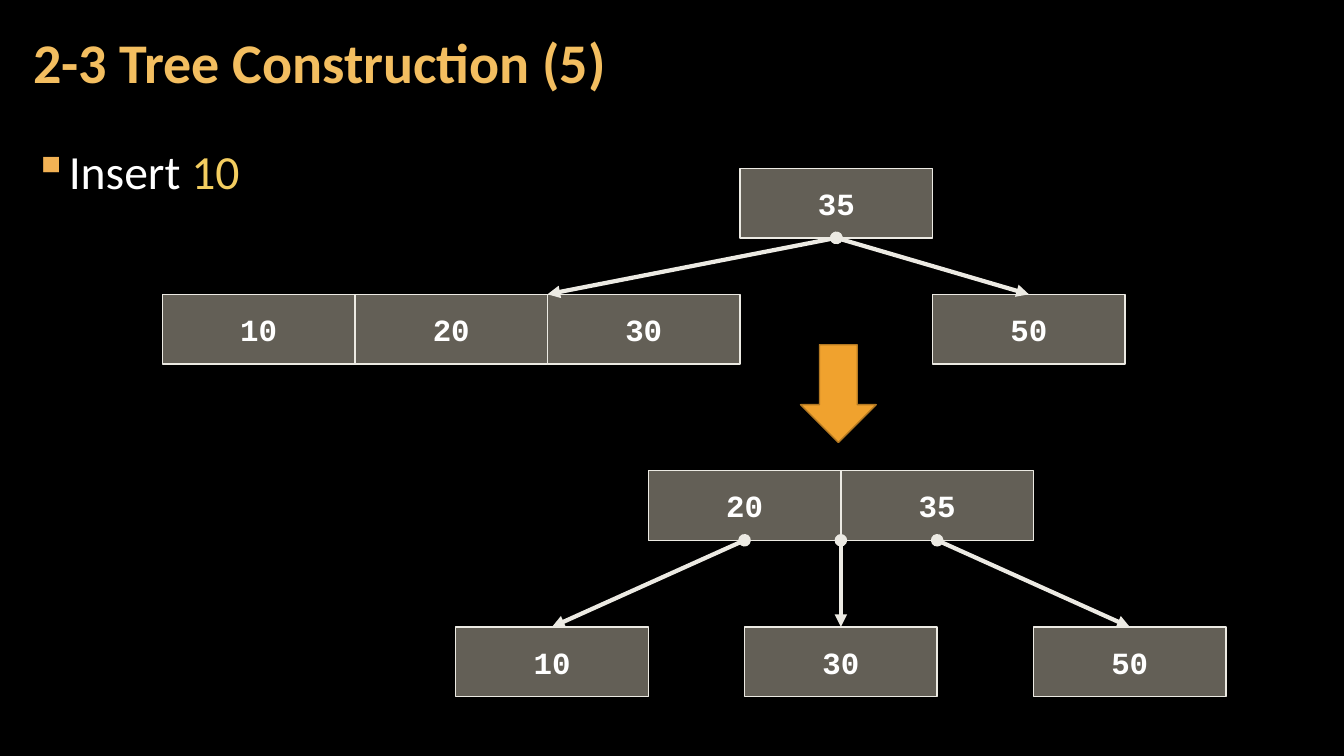
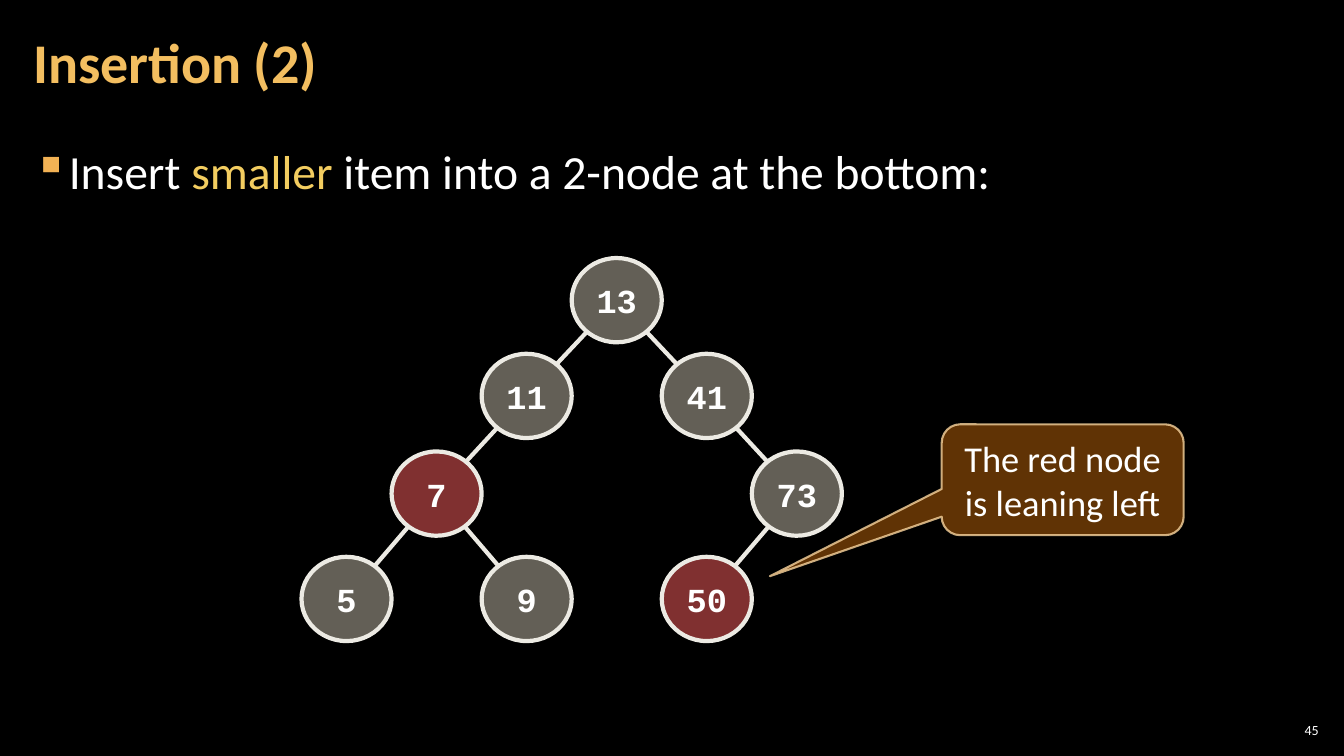
from dataclasses import dataclass
from math import hypot

from lxml import etree
from pptx import Presentation
from pptx.dml.color import RGBColor
from pptx.enum.shapes import MSO_CONNECTOR, MSO_SHAPE
from pptx.enum.text import MSO_ANCHOR, PP_ALIGN
from pptx.oxml.ns import qn
from pptx.util import Inches, Pt

RECT, OVAL = MSO_SHAPE.RECTANGLE, MSO_SHAPE.OVAL
ARROW, CALLOUT = MSO_SHAPE.DOWN_ARROW, MSO_SHAPE.ROUNDED_RECTANGULAR_CALLOUT
LINE = MSO_CONNECTOR.STRAIGHT
TOP, MID = MSO_ANCHOR.TOP, MSO_ANCHOR.MIDDLE
LEFT, CENTER, RIGHT = PP_ALIGN.LEFT, PP_ALIGN.CENTER, PP_ALIGN.RIGHT


@dataclass(frozen=True)
class Theme:
    wide: float = 13.33
    high: float = 7.5
    sans: str = "Calibri"
    mono: str = "Courier New"
    back: str = "000000"
    text: str = "FFFFFF"
    title: str = "F3BE60"
    mark: str = "F3CD60"
    bullet: str = "F2B254"
    node: str = "C7BFAC"
    red: str = "FF6161"
    edge: str = "ECEAE3"
    arrow: str = "F0A22E"
    rim: str = "B27822"
    note: str = "663606"
    glow: str = "F8D49E"
    head_pt: int = 40
    body_pt: int = 34
    note_pt: int = 26
    ball_pt: int = 24
    cell_pt: int = 22
    page_pt: int = 10
    thin: float = 1
    mid: float = 1.5
    bold: float = 3


T = Theme()


def rgb(code):
    return RGBColor.from_string(code)


def fade(fill, share):
    tone = fill._xPr.find(qn("a:solidFill"))[0]
    etree.SubElement(tone, qn("a:alpha")).set("val", str(share * 1000))


def put(shape, runs, size, font=T.sans, tone=T.text, bold=False, align=LEFT,
        anchor=MID, wrap=True, pad=None, lead=None, after=None, bullet=None):
    frame = shape.text_frame
    frame.word_wrap, frame.vertical_anchor = wrap, anchor
    if pad:
        (frame.margin_left, frame.margin_top, frame.margin_right,
         frame.margin_bottom) = map(Inches, pad)
    para = frame.paragraphs[0]
    para.alignment = align
    if lead:
        para.line_spacing = lead
    if after:
        para.space_after = Pt(after)
    if bullet:
        props = para._p.get_or_add_pPr()
        props.set("marL", str(Inches(0.33)))
        props.set("indent", str(-Inches(0.33)))
        hue = etree.SubElement(props, qn("a:buClr"))
        etree.SubElement(hue, qn("a:srgbClr")).set("val", T.bullet)
        etree.SubElement(props, qn("a:buChar")).set("char", bullet)
    for words, shade in [(runs, tone)] if isinstance(runs, str) else runs:
        run = para.add_run()
        run.text = words
        run.font.name, run.font.size, run.font.bold = font, Pt(size), bold
        run.font.color.rgb = rgb(shade)


def label(slide, box, runs, size, **fmt):
    put(slide.shapes.add_textbox(*map(Inches, box)), runs, size, **fmt)


def form(slide, kind, box, fill, line, width, alpha=100):
    shape = slide.shapes.add_shape(kind, *map(Inches, box))
    shape.shadow.inherit = False
    shape.fill.solid()
    shape.fill.fore_color.rgb = rgb(fill)
    if alpha < 100:
        fade(shape.fill, alpha)
    shape.line.color.rgb = rgb(line)
    shape.line.width = Pt(width)
    return shape


def link(slide, start, end, tips=False):
    wire = slide.shapes.add_connector(LINE, *map(Inches, (*start, *end)))
    wire.line.color.rgb = rgb(T.edge)
    wire.line.width = Pt(T.bold)
    props = wire._element.spPr
    etree.SubElement(props, qn("a:effectLst"))
    if tips:
        ln = wire.line._get_or_add_ln()
        etree.SubElement(ln, qn("a:headEnd")).set("type", "oval")
        etree.SubElement(ln, qn("a:tailEnd")).set("type", "triangle")
    return wire


def page(deck, title, runs, number=None):
    slide = deck.slides.add_slide(deck.slide_layouts[6])
    label(slide, (0.21, 0.04, 10.47, 1.21), title, T.head_pt, tone=T.title,
          bold=True, lead=0.9, pad=(0.12, 0.04, 0.12, 0.04))
    label(slide, (0.21, 1.26, 12.91, 6.09), runs, T.body_pt, anchor=TOP,
          lead=1.05, after=6, bullet="▪", pad=(0.12, 0.12, 0.12, 0.04))
    if number:
        label(slide, (12.65, 7.14, 0.47, 0.21), number, T.page_pt,
              align=RIGHT, pad=(0.04,) * 4)
    return slide


def blocks(slide, box, cols, roots, leaves, links):
    left, top, wide, high = box
    step, cell = wide / cols, 0.69

    def row(keys, y):
        made = {}
        for col, key in keys:
            node = form(slide, RECT, (left + col * step, y, step, cell),
                        T.node, T.edge, T.thin, 50)
            put(node, key, T.cell_pt, font=T.mono, bold=True, align=CENTER)
            made[col + 0.5] = node
        return made

    low = top + high - cell
    upper, lower = row(roots, top), row(leaves, low)
    for start, end in links:
        wire = link(slide, (left + start * step, top + cell),
                    (left + end * step, low), tips=True)
        if start in upper:
            wire.begin_connect(upper[start], 2)
        if end in lower:
            wire.end_connect(lower[end], 0)


def balls(slide, box, cols, rows, nodes, links):
    left, top, wide, high = box
    step, tall = wide / cols, high * (1 - rows[-1])
    spots = {}
    for key, (col, row, tone) in nodes.items():
        x, y = left + col * step, top + rows[row] * high
        node = form(slide, OVAL, (x, y, step, tall), tone, T.edge, T.bold, 50)
        put(node, key, T.ball_pt, font=T.mono, bold=True, align=CENTER,
            wrap=False)
        spots[key] = x + step / 2, y + tall / 2
    for start, end in links:
        (x, y), (u, v) = spots[start], spots[end]
        cut = 0.5 / hypot((u - x) / step, (v - y) / tall)
        dx, dy = (u - x) * cut, (v - y) * cut
        link(slide, (x + dx, y + dy), (u - dx, v - dy))


def note(slide, box, words, tip):
    shape = form(slide, CALLOUT, box, T.note, T.glow, T.mid, 95)
    fade(shape.line.fill, 80)
    for spot, value in enumerate((*tip, 0.167)):
        shape.adjustments[spot] = value
    put(shape, words, T.note_pt, align=CENTER)


def build(deck):
    slide = page(deck, "2-3 Tree Construction (5)",
                 [("Insert ", T.text), ("10", T.mark)])
    blocks(slide, (1.61, 1.67, 9.55, 1.94), 5, [(3, "35")],
           [(0, "10"), (1, "20"), (2, "30"), (4, "50")],
           [(3.5, 2), (3.5, 4.5)])
    form(slide, ARROW, (7.94, 3.42, 0.75, 0.97), T.arrow, T.rim, T.thin)
    blocks(slide, (4.52, 4.67, 7.64, 2.24), 4, [(1, "20"), (2, "35")],
           [(0, "10"), (1.5, "30"), (3, "50")],
           [(1.5, 0.5), (2, 2), (2.5, 3.5)])

    slide = page(deck, "Insertion (2)",
                 [("Insert ", T.text), ("smaller ", T.mark),
                  ("item into a 2-node at the bottom:", T.text)], "45")
    nodes = {"13": (3, 0, T.node), "11": (2, 1, T.node),
             "41": (4, 1, T.node), "7": (1, 2, T.red),
             "73": (5, 2, T.node), "5": (0, 3, T.node),
             "9": (2, 3, T.node), "50": (4, 3, T.red)}
    balls(slide, (2.99, 2.56, 5.36, 3.8), 6, (0, 0.25, 0.505, 0.78), nodes,
          [("13", "11"), ("13", "41"), ("11", "7"), ("41", "73"),
           ("7", "5"), ("7", "9"), ("73", "50")])
    note(slide, (9.34, 4.21, 2.4, 1.1), "The red node is leaning left",
         (-1.21, 0.87))


def main():
    deck = Presentation()
    deck.slide_width, deck.slide_height = Inches(T.wide), Inches(T.high)
    back = deck.slide_master.background.fill
    back.solid()
    back.fore_color.rgb = rgb(T.back)
    build(deck)
    deck.save("out.pptx")


if __name__ == "__main__":
    main()
